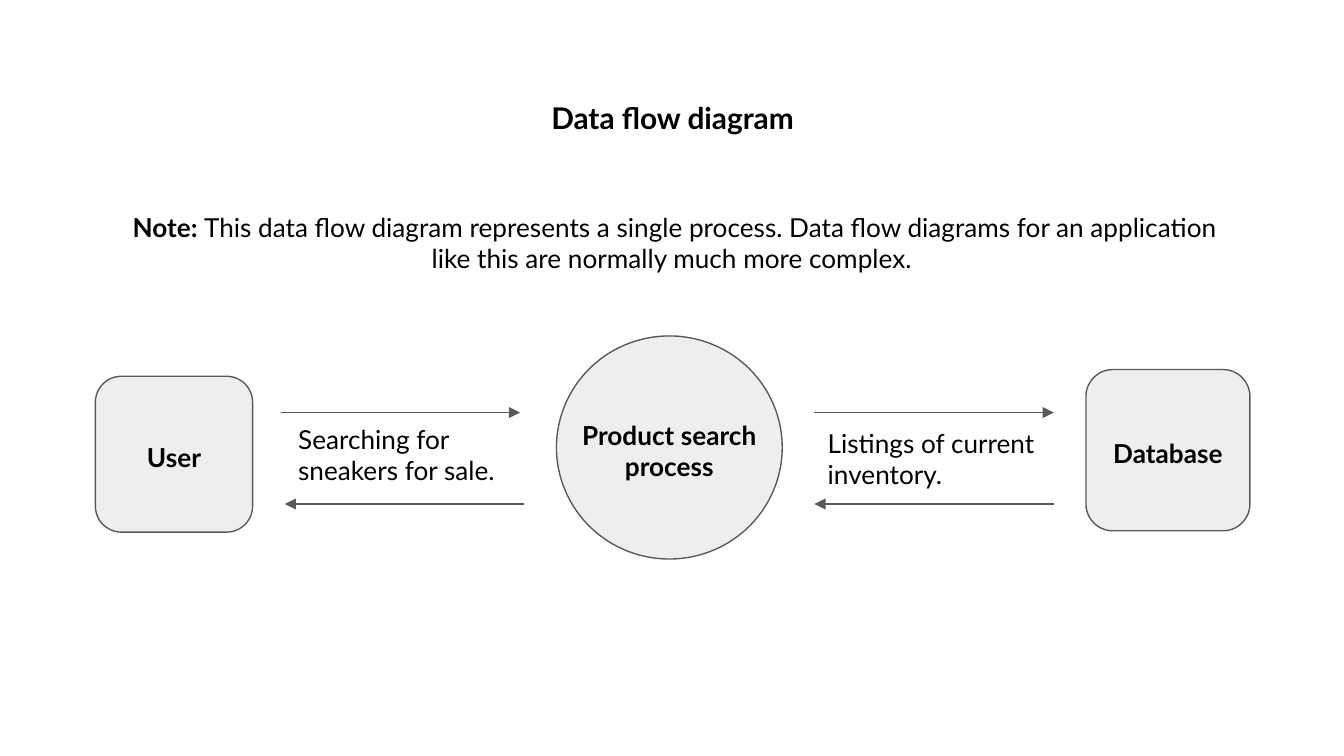
from lxml import etree
from pptx import Presentation
from pptx.dml.color import RGBColor
from pptx.enum.shapes import MSO_CONNECTOR, MSO_SHAPE
from pptx.enum.text import MSO_ANCHOR, PP_ALIGN
from pptx.oxml.ns import qn
from pptx.util import Inches, Pt

COLORS = {"text": "000000", "fill": "EEEEEE", "line": "595959"}
FONT = "Lato"
SLIDE_WIDTH = 10
ROUNDED = MSO_SHAPE.FLOWCHART_ALTERNATE_PROCESS


def color(name):
    return RGBColor.from_string(COLORS[name])


def write(shape, *paragraphs, size=14, bold=False, align=PP_ALIGN.CENTER,
          anchor=MSO_ANCHOR.TOP, wrap=True, insets=(0.1, 0.1, 0.1, 0.1)):
    """Fill a shape with paragraphs; each is a string or a list of (text, bold) runs."""
    frame = shape.text_frame
    frame.word_wrap = wrap
    frame.vertical_anchor = anchor
    (frame.margin_left, frame.margin_top,
     frame.margin_right, frame.margin_bottom) = map(Inches, insets)
    for index, content in enumerate(paragraphs):
        paragraph = frame.paragraphs[0] if index == 0 else frame.add_paragraph()
        paragraph.alignment = align
        runs = [(content, bold)] if isinstance(content, str) else content
        for text, run_bold in runs:
            run = paragraph.add_run()
            run.text = text
            run.font.name = FONT
            run.font.size = Pt(size)
            run.font.bold = run_bold
            run.font.color.rgb = color("text")


def add_title(slide, box, text):
    title = slide.shapes.title
    title.left, title.top, title.width, title.height = map(Inches, box)
    write(title, text, size=16, bold=True)


def add_text(slide, box, *paragraphs, **text_format):
    write(slide.shapes.add_textbox(*map(Inches, box)), *paragraphs, **text_format)


def add_node(slide, kind, box, *lines):
    node = slide.shapes.add_shape(kind, *map(Inches, box))
    node.shadow.inherit = False
    node.fill.solid()
    node.fill.fore_color.rgb = color("fill")
    node.line.color.rgb = color("line")
    node.line.width = Pt(0.75)
    write(node, *lines, bold=True, anchor=MSO_ANCHOR.MIDDLE, wrap=False,
          insets=(0, 0.05, 0, 0))


def add_arrow(slide, start, end, y):
    arrow = slide.shapes.add_connector(
        MSO_CONNECTOR.STRAIGHT, *map(Inches, (start, y, end, y)))
    arrow.line.color.rgb = color("line")
    arrow.line.width = Pt(0.75)
    properties = arrow._element.spPr
    etree.SubElement(properties.find(qn("a:ln")), qn("a:tailEnd"), type="triangle")
    etree.SubElement(properties, qn("a:effectLst"))


def add_exchange(slide, box, label, label_top, label_width, return_shift=0):
    """Place a request arrow, its label and a return arrow within the box."""
    left, top, width, height = box
    label_left = left + return_shift
    add_arrow(slide, left, left + width, top)
    add_arrow(slide, label_left + width, label_left, top + height)
    add_text(slide, (label_left, top + label_top, label_width, 0.67), label,
             align=PP_ALIGN.LEFT)


def build_slide(presentation):
    slide = presentation.slides.add_slide(presentation.slide_layouts[5])
    add_title(slide, (1.55, 0.64, 6.91, 0.47), "Data flow diagram")
    add_text(slide, (0.71, 1.47, 8.58, 0.67), [
        (" Note: ", True),
        ("This data flow diagram represents a single process. Data flow diagrams "
         "for an application like this are normally much more complex.", False)])

    add_node(slide, ROUNDED, (0.71, 2.8, 1.17, 1.16), "User")
    add_node(slide, MSO_SHAPE.OVAL, (4.14, 2.5, 1.68, 1.66),
             "Product search", "process")
    add_node(slide, ROUNDED, (8.08, 2.75, 1.22, 1.2), "Database")

    add_exchange(slide, (2.09, 3.07, 1.78, 0.68), "Searching for sneakers for sale.",
                 label_top=-0.02, label_width=1.78, return_shift=0.03)
    add_exchange(slide, (6.06, 3.07, 1.78, 0.68), "Listings of current inventory.",
                 label_top=0.01, label_width=2.02)


def main():
    presentation = Presentation()
    presentation.slide_width = Inches(SLIDE_WIDTH)
    presentation.slide_height = Inches(SLIDE_WIDTH * 9 / 16)
    build_slide(presentation)
    presentation.save("out.pptx")


if __name__ == "__main__":
    main()
